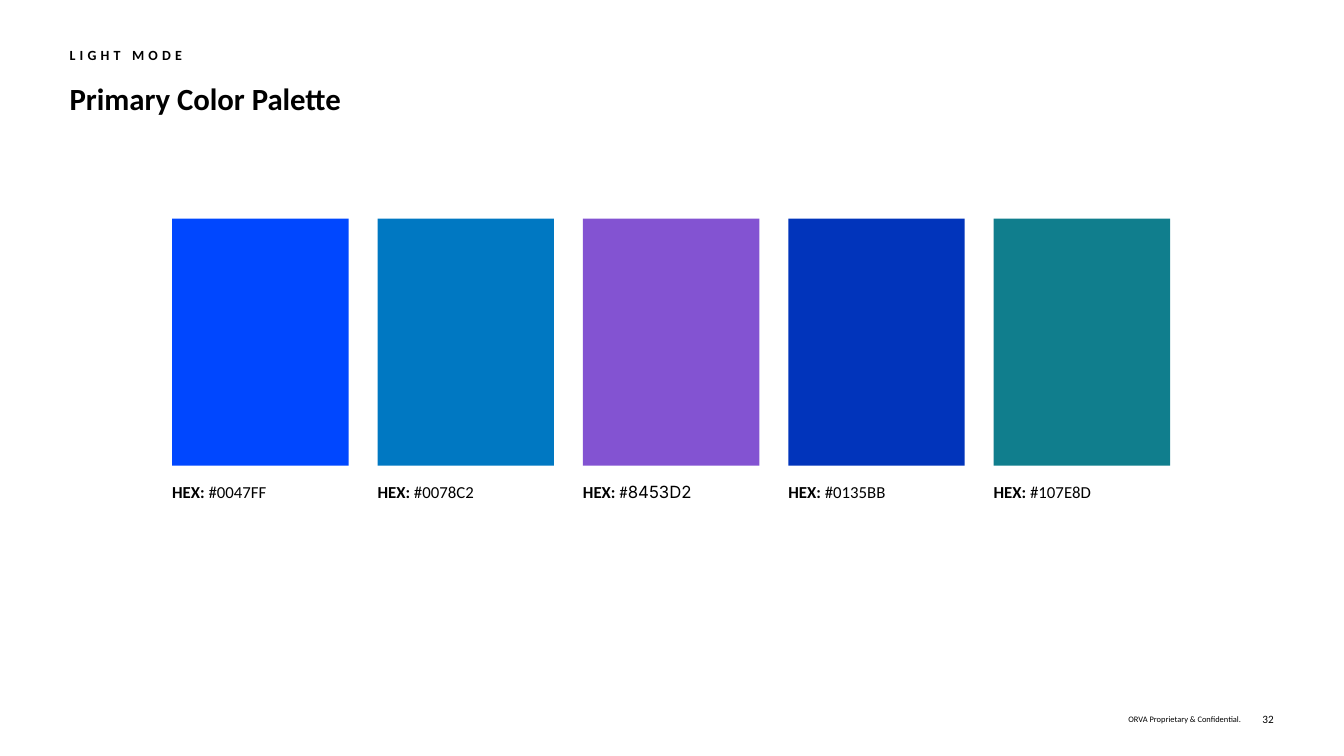
from pptx import Presentation
from pptx.dml.color import RGBColor
from pptx.enum.shapes import MSO_SHAPE
from pptx.enum.text import MSO_ANCHOR, MSO_AUTO_SIZE, PP_ALIGN
from pptx.util import Pt

BLACK = RGBColor(0x00, 0x00, 0x00)
FOOTER_BLACK = RGBColor(0x01, 0x00, 0x00)

# Swatch fill, printed hex code, font of the code
PALETTE = [
    (RGBColor(0x00, 0x47, 0xFF), "0047FF", "Calibri"),
    (RGBColor(0x00, 0x78, 0xC2), "0078C2", "Calibri"),
    (RGBColor(0x83, 0x53, 0xD2), "8453D2", "Inter"),
    (RGBColor(0x01, 0x34, 0xBB), "0135BB", "Calibri"),
    (RGBColor(0x10, 0x7E, 0x8D), "107E8D", "Calibri"),
]
SWATCH_LEFT, SWATCH_TOP = 123, 156.2
SWATCH_WIDTH, SWATCH_HEIGHT = 126, 176.4
SWATCH_PITCH = 146.7


def set_up_text(shape, size, color=BLACK, bold=False,
                align=PP_ALIGN.LEFT, anchor=MSO_ANCHOR.TOP):
    """Remove the margins, format the first paragraph and return it."""
    frame = shape.text_frame
    frame.margin_left = frame.margin_top = frame.margin_right = frame.margin_bottom = 0
    frame.word_wrap = True
    frame.auto_size = MSO_AUTO_SIZE.NONE
    frame.vertical_anchor = anchor
    paragraph = frame.paragraphs[0]
    paragraph.alignment = align
    paragraph.font.name = "Calibri"
    paragraph.font.size = Pt(size)
    paragraph.font.bold = bold
    paragraph.font.color.rgb = color
    return paragraph


presentation = Presentation()
presentation.slide_width, presentation.slide_height = Pt(960), Pt(540)
slide = presentation.slides.add_slide(presentation.slide_layouts[5])
shapes = slide.shapes

# Heading
title = shapes.title
title.left, title.top, title.width, title.height = Pt(49.7), Pt(56.9), Pt(860.4), Pt(26.6)
title.text = "Primary Color Palette"
set_up_text(title, 22, bold=True)

mode = shapes.add_textbox(Pt(49.7), Pt(33.1), Pt(285.8), Pt(18))
mode_run = set_up_text(mode, 10, bold=True).add_run()
mode_run.text = "LIGHT MODE"
mode_run.font._element.set("spc", "300")

# Swatches with their hex codes
for column, (color, code, code_font) in enumerate(PALETTE):
    left = Pt(SWATCH_LEFT + column * SWATCH_PITCH)
    swatch = shapes.add_shape(MSO_SHAPE.RECTANGLE, left, Pt(SWATCH_TOP),
                              Pt(SWATCH_WIDTH), Pt(SWATCH_HEIGHT))
    swatch.shadow.inherit = False
    swatch.fill.solid()
    swatch.fill.fore_color.rgb = color
    swatch.line.fill.background()

    label = shapes.add_textbox(left, Pt(342.7), Pt(86.4), Pt(14.4))
    hex_line = set_up_text(label, 12)
    hex_line.line_spacing = 1.1
    for text, bold, font in (("HEX:", True, "Calibri"), (" #", False, "Calibri"),
                             (code, False, code_font)):
        run = hex_line.add_run()
        run.text = text
        run.font.bold = bold
        run.font.name = font

# Footer
for text, left, width, size in (("ORVA Proprietary & Confidential.", 751, 135.4, 6),
                                ("32", 890.6, 19.4, 8)):
    footer = shapes.add_textbox(Pt(left), Pt(504.7), Pt(width), Pt(17.3))
    footer.text_frame.text = text
    set_up_text(footer, size, FOOTER_BLACK, align=PP_ALIGN.RIGHT, anchor=MSO_ANCHOR.MIDDLE)

presentation.save("out.pptx")
